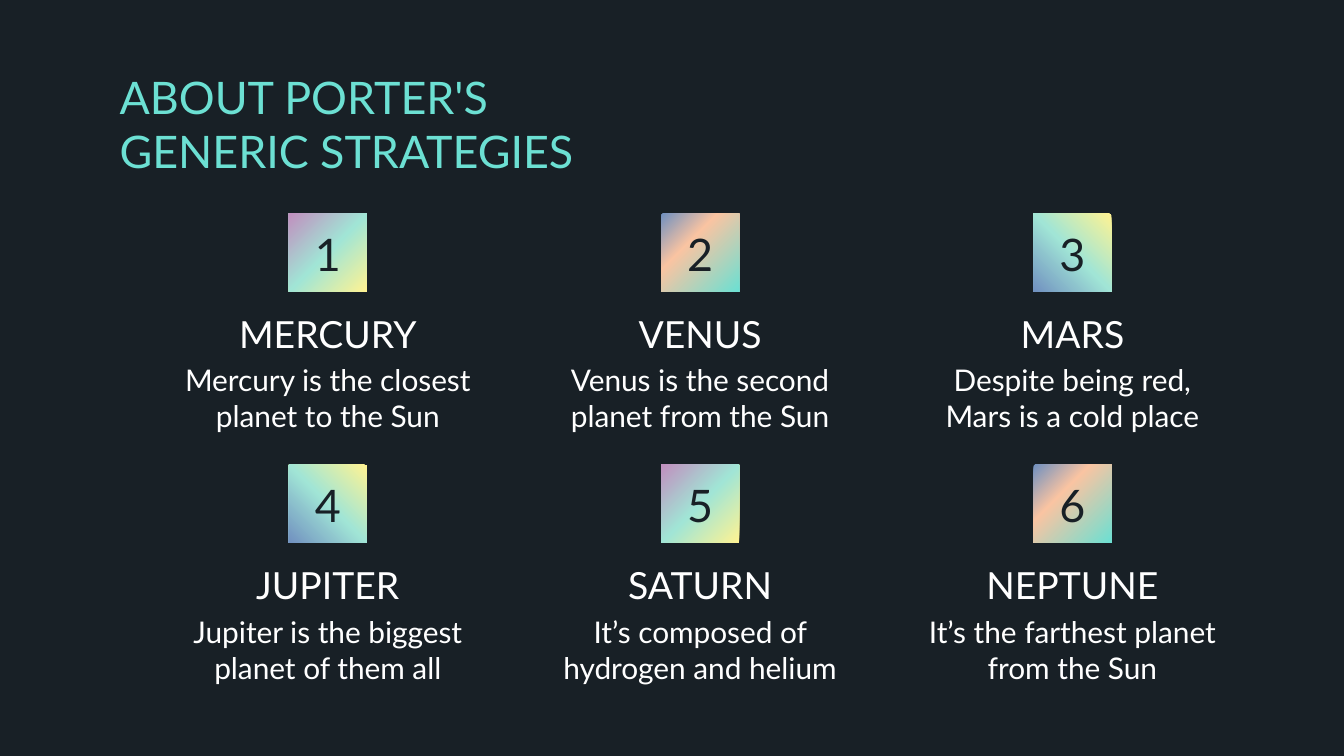
from dataclasses import dataclass

from lxml.etree import SubElement
from pptx import Presentation
from pptx.dml.color import RGBColor
from pptx.enum.shapes import MSO_SHAPE
from pptx.enum.text import MSO_ANCHOR, MSO_AUTO_SIZE, PP_ALIGN
from pptx.oxml.ns import qn
from pptx.slide import Slide
from pptx.text.text import TextFrame
from pptx.util import Inches, Pt

FONT = "Lato"
DARK, TEAL, WHITE = "182026", "6CE0D3", "FFFFFF"


@dataclass(frozen=True)
class Gradient:
    stops: tuple[tuple[int, str], ...]
    angle: int  # counter-clockwise degrees


@dataclass(frozen=True)
class Planet:
    name: str
    description: str
    gradient: Gradient


ORCHID = Gradient(((0, "FFF393"), (50, "A1E5D6"), (100, "C190BF")), 135)
PEACH = Gradient(((0, "7191C0"), (36, "FAC4A2"), (100, TEAL)), 315)
LAGOON = Gradient(((0, "FFF393"), (50, "A1E5D6"), (100, "7191C0")), 225)

PLANETS = (
    Planet("MERCURY", "Mercury is the closest planet to the Sun", ORCHID),
    Planet("VENUS", "Venus is the second planet from the Sun", PEACH),
    Planet("MARS", "Despite being red, Mars is a cold place", LAGOON),
    Planet("JUPITER", "Jupiter is the biggest planet of them all", LAGOON),
    Planet("SATURN", "It’s composed of hydrogen and helium", ORCHID),
    Planet("NEPTUNE", "It’s the farthest planet from the Sun", PEACH),
)

COLUMNS = 3
FIRST_CENTER, COLUMN_PITCH = 2.44, 2.77
FIRST_TOP, ROW_PITCH = 1.59, 1.87
SQUARE = 0.58
NUMBER_WIDTH, NUMBER_HEIGHT = 0.47, 0.61
TEXT_WIDTH, TEXT_HEIGHT = 2.47, 0.58


def color(value: str) -> RGBColor:
    return RGBColor.from_string(value)


def write(frame: TextFrame, text: str, size: int, ink: str,
          align: PP_ALIGN = PP_ALIGN.CENTER,
          anchor: MSO_ANCHOR = MSO_ANCHOR.MIDDLE, side: float = 0.1) -> None:
    frame.word_wrap = True
    frame.auto_size = MSO_AUTO_SIZE.NONE
    frame.vertical_anchor = anchor
    frame.margin_left = frame.margin_right = Inches(side)
    frame.margin_top = frame.margin_bottom = Inches(0.1)
    para = frame.paragraphs[0]
    para.alignment = align
    span = para.add_run()
    span.text = text
    span.font.name = FONT
    span.font.size = Pt(size)
    span.font.color.rgb = color(ink)


def add_title(page: Slide, text: str) -> None:
    title = page.shapes.title
    title.left, title.top = Inches(0.79), Inches(0.42)
    title.width, title.height = Inches(4.21), Inches(0.93)
    write(title.text_frame, text, 24, TEAL, PP_ALIGN.LEFT, MSO_ANCHOR.TOP)


def add_text(page: Slide, center: float, top: float, width: float, height: float,
             text: str, size: int, ink: str, side: float = 0.1) -> None:
    box = page.shapes.add_textbox(Inches(center - width / 2), Inches(top),
                                  Inches(width), Inches(height))
    write(box.text_frame, text, size, ink, side=side)


def add_square(page: Slide, center: float, top: float, gradient: Gradient) -> None:
    square = page.shapes.add_shape(MSO_SHAPE.RECTANGLE, Inches(center - SQUARE / 2),
                                   Inches(top), Inches(SQUARE), Inches(SQUARE))
    square.shadow.inherit = False
    square.line.fill.background()
    square.fill.gradient()
    square.fill.gradient_angle = gradient.angle
    stop_list = square.element.spPr.find(qn("a:gradFill")).find(qn("a:gsLst"))
    for stop in list(stop_list):
        stop_list.remove(stop)
    for percent, value in gradient.stops:
        stop = SubElement(stop_list, qn("a:gs"), pos=str(percent * 1000))
        SubElement(stop, qn("a:srgbClr"), val=value)


def add_planet(page: Slide, index: int, planet: Planet) -> None:
    row, column = divmod(index, COLUMNS)
    center = FIRST_CENTER + column * COLUMN_PITCH
    top = FIRST_TOP + row * ROW_PITCH
    add_square(page, center, top, planet.gradient)
    add_text(page, center, top - 0.01, NUMBER_WIDTH, NUMBER_HEIGHT,
             str(index + 1), 24, DARK, side=0)
    add_text(page, center, top + 0.6, TEXT_WIDTH, TEXT_HEIGHT, planet.name, 20, WHITE)
    add_text(page, center, top + 1.08, TEXT_WIDTH, TEXT_HEIGHT,
             planet.description, 16, WHITE)


def main() -> None:
    deck = Presentation()
    deck.slide_width = Inches(10)
    deck.slide_height = deck.slide_width * 9 // 16
    page = deck.slides.add_slide(deck.slide_layouts[5])
    page.background.fill.solid()
    page.background.fill.fore_color.rgb = color(DARK)
    add_title(page, "ABOUT PORTER'S GENERIC STRATEGIES")
    for index, planet in enumerate(PLANETS):
        add_planet(page, index, planet)
    deck.save("out.pptx")


if __name__ == "__main__":
    main()
